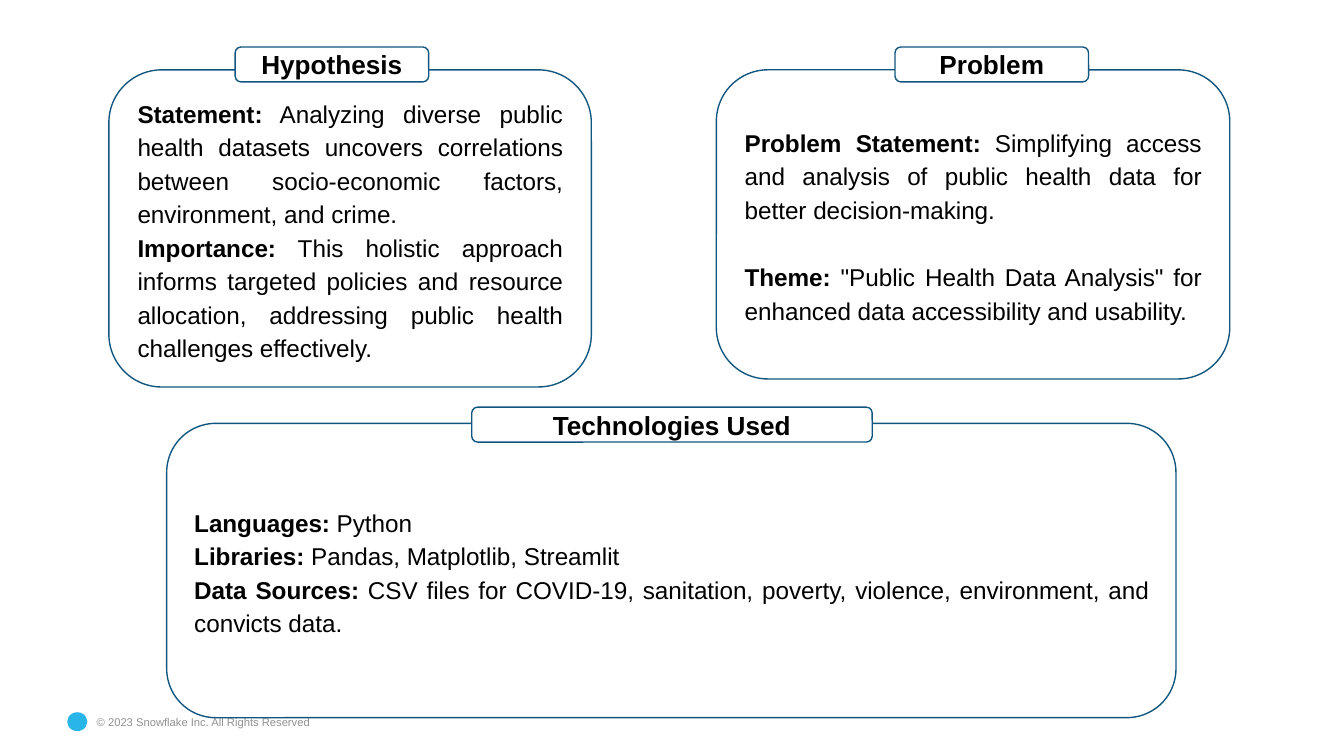
from pptx import Presentation
from pptx.dml.color import RGBColor
from pptx.enum.shapes import MSO_SHAPE as Shape
from pptx.enum.text import MSO_ANCHOR as Anchor, PP_ALIGN as Align
from pptx.util import Inches, Pt

WHITE = RGBColor(0xFF, 0xFF, 0xFF)
BLACK = RGBColor(0x00, 0x00, 0x00)
NAVY = RGBColor(0x11, 0x56, 0x7F)
SKY = RGBColor(0x29, 0xB5, 0xE8)
GREY = RGBColor(0x92, 0x92, 0x92)
FONT = "Arial"
TAB_H = 0.26

PANELS = [
    ("Hypothesis", (1.75, 0.35, 1.44, TAB_H), (0.81, 0.52, 3.59, 2.36), [
        ("Statement:", "Analyzing diverse public health datasets uncovers correlations "
         "between socio-economic factors, environment, and crime.", 0),
        ("Importance:", "This holistic approach informs targeted policies and resource "
         "allocation, addressing public health challenges effectively.", 0),
    ]),
    ("Problem", (6.66, 0.35, 1.44, TAB_H), (5.33, 0.52, 3.82, 2.3), [
        ("Problem Statement:", "Simplifying access and analysis of public health data "
         "for better decision-making.", 0),
        ("Theme:", "\"Public Health Data Analysis\" for enhanced data accessibility "
         "and usability.", 18),
    ]),
    ("Technologies Used", (3.51, 3.03, 2.98, TAB_H), (1.24, 3.15, 7.51, 2.19), [
        ("Languages:", "Python", 0),
        ("Libraries:", "Pandas, Matplotlib, Streamlit", 0),
        ("Data Sources:", "CSV files for COVID-19, sanitation, poverty, violence, "
         "environment, and convicts data.", 0),
    ]),
]


def style(para, size, color):
    """Set the font of a whole paragraph."""
    para.font.name = FONT
    para.font.size = Pt(size)
    para.font.color.rgb = color


def add_box(slide, place):
    """Add an outlined rounded box and return its text frame."""
    box = slide.shapes.add_shape(Shape.ROUNDED_RECTANGLE, *map(Inches, place))
    box.shadow.inherit = False
    box.fill.solid()
    box.fill.fore_color.rgb = WHITE
    box.line.color.rgb = NAVY
    box.line.width = Pt(0.75)
    frame = box.text_frame
    frame.word_wrap = True
    frame.vertical_anchor = Anchor.MIDDLE
    frame.margin_left = frame.margin_right = Inches(0.1)
    frame.margin_top = frame.margin_bottom = Inches(0.1)
    return frame


def add_body(slide, place, items):
    """Add a panel of justified paragraphs, each with a bold lead."""
    frame = add_box(slide, place)
    for i, (lead, text, gap) in enumerate(items):
        para = frame.add_paragraph() if i else frame.paragraphs[0]
        para.alignment = Align.JUSTIFY
        para.line_spacing = 1.15
        if gap:
            para.space_before = Pt(gap)
        style(para, 13, BLACK)
        run = para.add_run()
        run.text = lead
        run.font.bold = True
        para.add_run().text = " " + text


def add_tab(slide, place, text):
    """Add a small box with a bold centred heading."""
    para = add_box(slide, place).paragraphs[0]
    para.text = text
    para.alignment = Align.CENTER
    style(para, 14, BLACK)
    para.font.bold = True


def add_footer(slide):
    """Add the round mark and the copyright line."""
    mark = slide.shapes.add_shape(
        Shape.OVAL, Inches(0.5), Inches(5.3), Inches(0.15), Inches(0.14))
    mark.shadow.inherit = False
    mark.fill.solid()
    mark.fill.fore_color.rgb = SKY
    mark.line.fill.background()
    note = slide.shapes.add_textbox(
        Inches(0.72), Inches(5.32), Inches(1.84), Inches(0.1))
    frame = note.text_frame
    frame.word_wrap = True
    frame.margin_left = frame.margin_right = 0
    frame.margin_top = frame.margin_bottom = 0
    para = frame.paragraphs[0]
    para.text = "© 2023 Snowflake Inc. All Rights Reserved"
    style(para, 6, GREY)


def main():
    """Build the slide and save it."""
    deck = Presentation()
    deck.slide_width = Inches(10)
    deck.slide_height = deck.slide_width * 9 // 16
    slide = deck.slides.add_slide(deck.slide_layouts[6])
    add_footer(slide)
    for title, tab, body, items in PANELS:
        add_body(slide, body, items)
        add_tab(slide, tab, title)
    deck.save("out.pptx")


if __name__ == "__main__":
    main()
